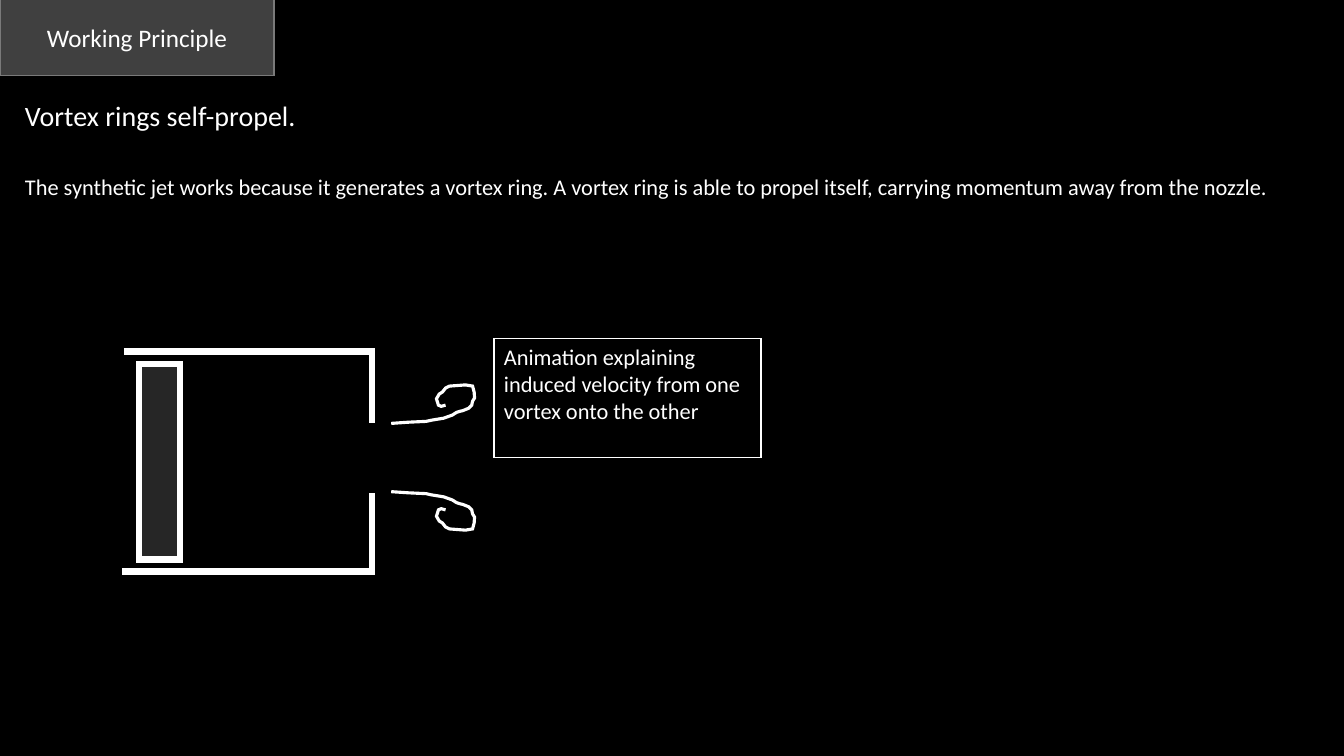
import dataclasses

import lxml.etree
import pptx
import pptx.dml.color
import pptx.enum.shapes
import pptx.enum.text
import pptx.oxml.ns
import pptx.util

Cm = pptx.util.Cm
Pt = pptx.util.Pt
RECTANGLE = pptx.enum.shapes.MSO_SHAPE.RECTANGLE
ANCHOR = pptx.enum.text.MSO_ANCHOR
ALIGN = pptx.enum.text.PP_ALIGN


@dataclasses.dataclass(frozen=True)
class Theme:
    font: str = "Calibri"
    background: str = "000000"
    ink: str = "FFFFFF"
    piston: str = "262626"
    tab: str = "404040"
    tab_edge: str = "7A7A7A"
    heading_size: int = 20
    tab_size: int = 18
    body_size: int = 16


theme = Theme()


def write(shape, text, size=theme.body_size, align=ALIGN.LEFT, anchor=ANCHOR.TOP, space_before=0):
    """Add one paragraph to the shape, filling its empty first one if there is one."""
    frame = shape.text_frame
    frame.word_wrap = True
    frame.vertical_anchor = anchor
    paragraph = frame.add_paragraph() if frame.text else frame.paragraphs[0]
    paragraph.alignment = align
    paragraph.space_before = Pt(space_before)
    run = paragraph.add_run()
    run.text = text
    run.font.name = theme.font
    run.font.size = Pt(size)
    run.font.color.rgb = pptx.dml.color.RGBColor.from_string(theme.ink)


def paint(shape, width, line=theme.ink, fill=None):
    """Give the shape a sharp-cornered outline and, if named, a fill."""
    shape.shadow.inherit = False
    if fill:
        shape.fill.solid()
        shape.fill.fore_color.rgb = pptx.dml.color.RGBColor.from_string(fill)
    else:
        shape.fill.background()
    shape.line.width = Pt(width)
    shape.line.color.rgb = pptx.dml.color.RGBColor.from_string(line)
    outline = shape.line._get_or_add_ln()
    lxml.etree.SubElement(outline, pptx.oxml.ns.qn("a:miter"), lim="800000")


presentation = pptx.Presentation()
presentation.slide_width = Cm(33.87)
presentation.slide_height = Cm(19.05)
slide = presentation.slides.add_slide(presentation.slide_layouts[6])
slide.background.fill.solid()
slide.background.fill.fore_color.rgb = pptx.dml.color.RGBColor.from_string(theme.background)
shapes = slide.shapes

explanation = shapes.add_textbox(Cm(0.38), Cm(2.36), Cm(32.41), Cm(3.51))
write(explanation, "Vortex rings self-propel.", size=theme.heading_size)
write(
    explanation,
    "The synthetic jet works because it generates a vortex ring. A vortex ring is able to "
    "propel itself, carrying momentum away from the nozzle.",
    space_before=29.3,
)

# Outlines in centimetres: the chamber, then the vortex and its mirror image below the jet axis
chamber = [(3.12, 8.86), (9.37, 8.86), (9.37, 14.4), (3.07, 14.4)]
upper_vortex = [
    (9.86, 10.67), (10.29, 10.64), (10.74, 10.62), (10.87, 10.59), (11.18, 10.54),
    (11.4, 10.46), (11.51, 10.39), (11.61, 10.36), (11.66, 10.35), (11.81, 10.29),
    (11.89, 10.21), (11.91, 10.11), (11.96, 10.03), (11.95, 9.88), (11.91, 9.73),
    (11.73, 9.7), (11.33, 9.73), (11.23, 9.78), (11.15, 9.88), (11.07, 9.93),
    (11, 10.05), (11.05, 10.21), (11.12, 10.24), (11.23, 10.21),
]
jet_axis = 11.53
lower_vortex = [(x, 2 * jet_axis - y) for x, y in upper_vortex]

for outline_points, width in [(chamber, 4.5), (upper_vortex, 2.25), (lower_vortex, 2.25)]:
    start, *rest = [(Cm(x), Cm(y)) for x, y in outline_points]
    builder = shapes.build_freeform(*start)
    builder.add_line_segments(rest, close=False)
    paint(builder.convert_to_shape(), width)

piston = shapes.add_shape(RECTANGLE, Cm(3.51), Cm(9.17), Cm(1.02), Cm(4.93))
paint(piston, 4.5, fill=theme.piston)

nozzle = shapes.add_shape(RECTANGLE, Cm(9.09), Cm(10.67), Cm(0.69), Cm(1.73))
paint(nozzle, 1, line=theme.background, fill=theme.background)

animation_note = shapes.add_shape(RECTANGLE, Cm(12.45), Cm(8.53), Cm(6.73), Cm(3))
paint(animation_note, 0.75)
write(animation_note, "Animation explaining induced velocity from one vortex onto the other")

section_tab = shapes.add_shape(RECTANGLE, Cm(0), Cm(-0.03), Cm(6.91), Cm(1.93))
paint(section_tab, 1, line=theme.tab_edge, fill=theme.tab)
write(section_tab, "Working Principle", size=theme.tab_size, align=ALIGN.CENTER, anchor=ANCHOR.MIDDLE)

presentation.save("out.pptx")
